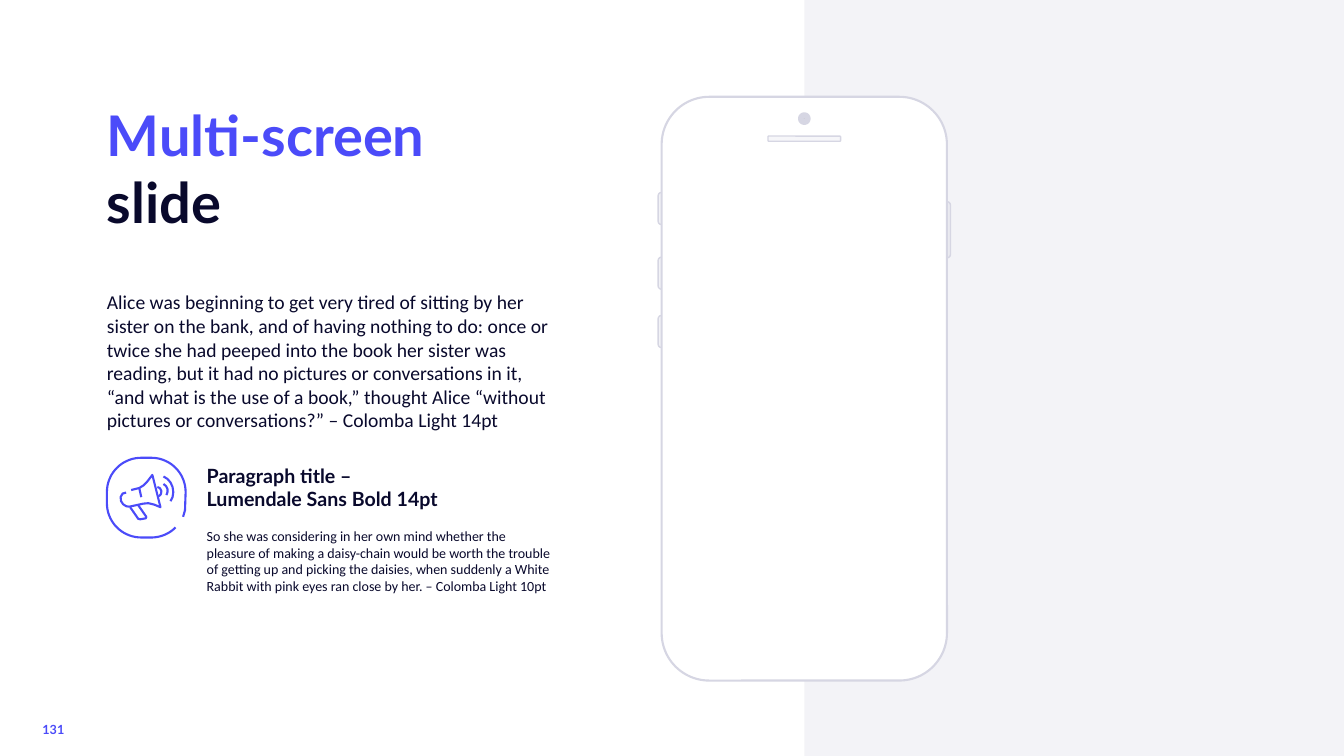
from math import cos, radians, sin

from lxml.etree import SubElement
from pptx import Presentation
from pptx.dml.color import RGBColor
from pptx.enum.shapes import MSO_SHAPE as Preset
from pptx.enum.text import MSO_ANCHOR as Anchor, MSO_AUTO_SIZE as AutoSize, PP_ALIGN as Align
from pptx.oxml.ns import qn
from pptx.util import Cm, Pt

WIDTH, HEIGHT = 33.87, 19.05
BLUE, NAVY, GREY, PANEL, WHITE = "4B4BF9", "09092C", "D6D6E3", "F3F3F7", "FFFFFF"
STORY = (
    "Alice was beginning to get very tired of sitting by her sister on the bank, and of having "
    "nothing to do: once or twice she had peeped into the book her sister was reading, but it had "
    "no pictures or conversations in it, “and what is the use of a book,” thought Alice “without "
    "pictures or conversations?” – Colomba Light 14pt"
)
DAISIES = (
    "So she was considering in her own mind whether the pleasure of making a daisy-chain would be "
    "worth the trouble of getting up and picking the daisies, when suddenly a White Rabbit with "
    "pink eyes ran close by her. – Colomba Light 10pt"
)
ICON_GRID = 81
MEGAPHONE = [
    [(25, 33), (33, 31), (37, 28.5), (41, 24.5), (46, 18), (54, 50), (48, 47.5), (42, 46),
     (37, 46.5), (23, 49.5), (20, 49), (17, 47), (15, 44), (14.5, 40), (16.5, 36.5), (20, 35.5)],
    [(33, 31), (35, 40)],
    [(24, 50), (32, 61.5), (34, 62), (39.5, 61), (40, 59.5), (32, 48)],
    [(51, 30), (53.5, 31), (55, 34), (54.5, 37), (52.5, 39)],
    [(57, 27), (59.5, 29), (61, 32), (61, 35), (60, 38)],
    [(57, 19.5), (61, 22), (64, 25.5), (66, 30), (66.7, 35), (66, 40), (64, 44)],
]


def color(code):
    """Turn a hex string into a colour."""
    return RGBColor.from_string(code)


def add_preset(shapes, preset, left, top, width, height, fill, alpha=100, line=None, weight=1):
    """Add a filled preset shape, optionally see-through or outlined."""
    shape = shapes.add_shape(preset, Cm(left), Cm(top), Cm(width), Cm(height))
    shape.shadow.inherit = False
    shape.fill.solid()
    shape.fill.fore_color.rgb = color(fill)
    if alpha < 100:
        tint = shape._element.spPr.find(qn("a:solidFill"))[0]
        SubElement(tint, qn("a:alpha")).set("val", str(alpha * 1000))
    if line:
        shape.line.color.rgb = color(line)
        shape.line.width = Pt(weight)
    else:
        shape.line.fill.background()
    return shape


def set_text(box, text, size, font, code, bold=False):
    """Fill a box with one left-aligned, top-anchored paragraph."""
    frame = box.text_frame
    frame.word_wrap = True
    frame.auto_size = AutoSize.NONE
    frame.vertical_anchor = Anchor.TOP
    para = frame.paragraphs[0]
    para.text = text
    para.alignment = Align.LEFT
    para.space_before = Pt(0)
    para.line_spacing = 1.0
    para.font.size = Pt(size)
    para.font.name = font
    para.font.bold = bold
    para.font.color.rgb = color(code)
    return para


def place(box, left, top, width, height):
    """Move a placeholder to the given place."""
    box.left, box.top, box.width, box.height = Cm(left), Cm(top), Cm(width), Cm(height)


def add_text(page, left, top, width, height, *style):
    """Add a text box holding one styled paragraph."""
    box = page.shapes.add_textbox(Cm(left), Cm(top), Cm(width), Cm(height))
    set_text(box, *style)
    return box


def add_heading(page, left, top, width):
    """Place the two-colour title and the story below it."""
    title, story = page.shapes.title, page.placeholders[1]
    place(title, left, top, width, 4.6)
    para = set_text(title, "Multi-screen", 40, "Lato", NAVY, True)
    para.runs[0].font.color.rgb = color(BLUE)
    para.add_line_break()
    para.add_run().text = "slide"
    place(story, left, top + 4.78, width, 4)
    set_text(story, STORY, 14, "Calibri", NAVY)


def arc(center_x, center_y, radius, start, end):
    """List points along a circular arc, angles in degrees."""
    steps = 18
    angles = [radians(start + (end - start) * step / steps) for step in range(steps + 1)]
    return [(center_x + radius * cos(angle), center_y + radius * sin(angle)) for angle in angles]


def add_icon(page, left, top, size):
    """Draw the megaphone inside its open rounded frame."""
    frame = [(76.5, 59.5), (78.4, 53)]
    frame += arc(45, 35, 34, 0, -90) + arc(35, 35, 34, -90, -180)
    frame += arc(35, 46, 34, 180, 90) + arc(45, 46, 34, 90, 45)
    group = page.shapes.add_group_shape()
    unit = size / ICON_GRID
    for stroke in [frame] + MEGAPHONE:
        points = [(Cm(left + x * unit), Cm(top + y * unit)) for x, y in stroke]
        builder = group.shapes.build_freeform(*points[0])
        builder.add_line_segments(points[1:], close=False)
        outline = builder.convert_to_shape()
        outline.shadow.inherit = False
        outline.fill.background()
        outline.line.color.rgb = color(BLUE)
        outline.line.width = Pt(1.5)


def add_feature(page, left, top, width):
    """Place the icon with its paragraph title and text."""
    add_icon(page, left, top, 2.06)
    caption = "Paragraph title –\vLumendale Sans Bold 14pt"
    text_left, text_width = left + 2.29, width - 2.29
    add_text(page, text_left, top + 0.05, text_width, 1.45, caption, 14, "Lato", NAVY, True)
    add_text(page, text_left, top + 1.65, text_width, 1.96, DAISIES, 10, "Calibri", NAVY)


def add_phone(page, left, top, width, height):
    """Draw a phone with side buttons, speaker and camera."""
    shapes = page.shapes.add_group_shape().shapes
    button_width, overhang = 0.53, 0.09
    right = width + overhang - button_width
    buttons = [(right, 2.64, 1.42)] + [(-overhang, drop, 0.81) for drop in (2.41, 4.04, 5.51)]
    for shift, drop, length in buttons:
        add_preset(shapes, Preset.ROUNDED_RECTANGLE, left + shift, top + drop,
                   button_width, length, GREY, 30, GREY)
    add_preset(shapes, Preset.ROUNDED_RECTANGLE, left, top, width, height, WHITE, 100, GREY, 1.5)
    details = [
        (Preset.ROUNDED_RECTANGLE, 0.99, 1.83, 0.13, GREY, 1),
        (Preset.OVAL, 0.46, 0.18, 0.18, NAVY, 4),
    ]
    for preset, drop, across, down, fill, weight in details:
        add_preset(shapes, preset, left + (width - across) / 2, top + drop,
                   across, down, fill, 20, GREY, weight)


def add_page_number(page, left, top):
    """Place the page number in the lower corner."""
    box = add_text(page, left, top, 1.02, 0.61, "131", 9, "Lato", BLUE, True)
    frame = box.text_frame
    frame.margin_left = frame.margin_right = frame.margin_top = frame.margin_bottom = Cm(0.13)
    frame.paragraphs[0].line_spacing = 0.9


def main():
    """Build the slide and save it."""
    deck = Presentation()
    deck.slide_width, deck.slide_height = Cm(WIDTH), Cm(HEIGHT)
    page = deck.slides.add_slide(deck.slide_layouts[0])
    panel_left = 20.27
    phone_width = 7.19
    add_preset(page.shapes, Preset.RECTANGLE, panel_left, 0, WIDTH - panel_left, HEIGHT, PANEL)
    add_phone(page, panel_left - phone_width / 2, 2.44, phone_width, 14.71)
    add_heading(page, 2.44, 2.41, 11.71)
    add_feature(page, 2.67, 11.51, 11.46)
    add_page_number(page, 0.94, 18.11)
    deck.save("out.pptx")


if __name__ == "__main__":
    main()
